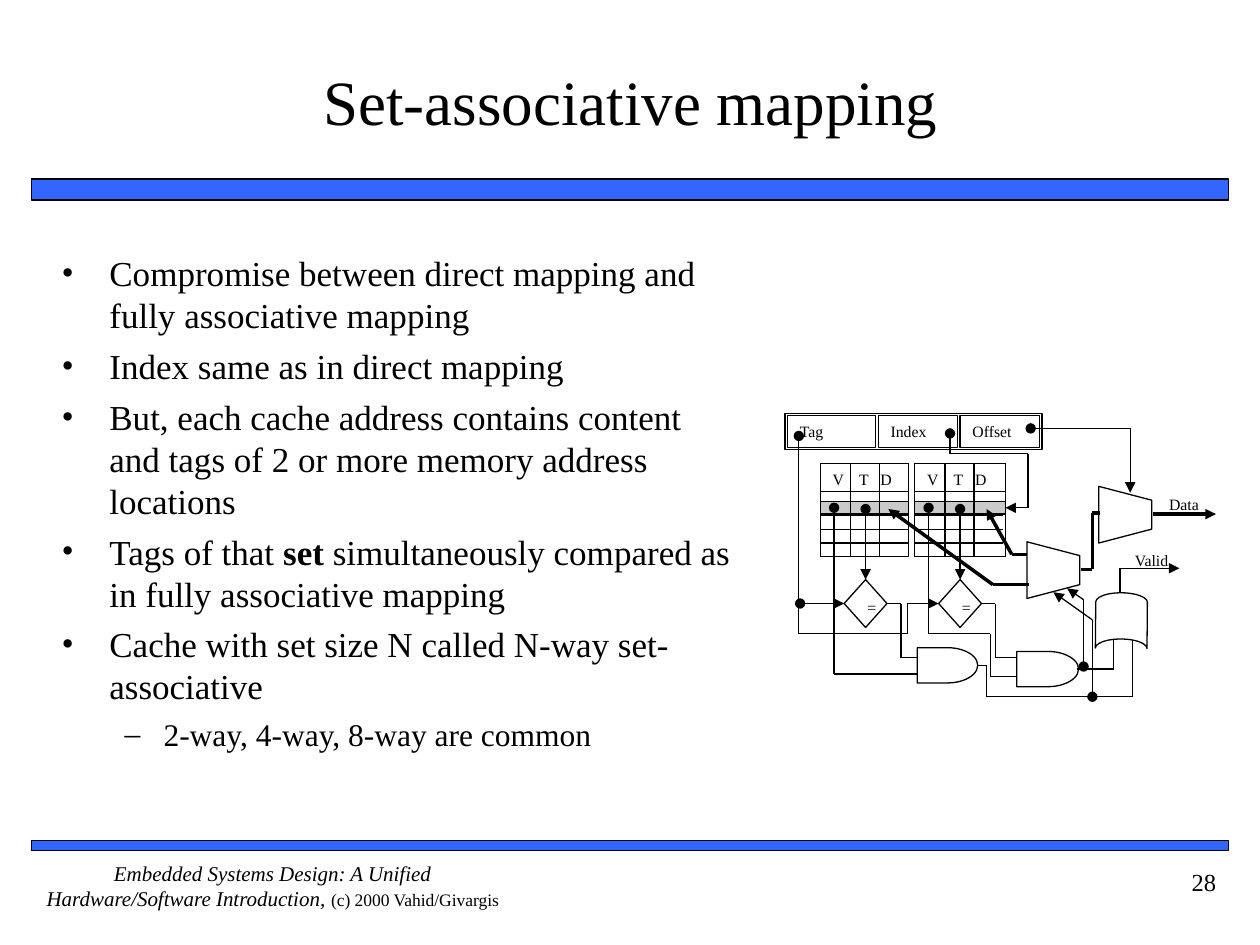
from lxml import etree
from pptx import Presentation
from pptx.dml.color import RGBColor
from pptx.enum.shapes import MSO_CONNECTOR, MSO_SHAPE
from pptx.enum.text import MSO_ANCHOR, PP_ALIGN
from pptx.oxml.ns import qn
from pptx.util import Pt

PX = 9144  # EMU per px, 100 px to the inch
RECT, DIAMOND = MSO_SHAPE.RECTANGLE, MSO_SHAPE.DIAMOND
AND, OR = MSO_SHAPE.FLOWCHART_DELAY, MSO_SHAPE.FLOWCHART_STORED_DATA
LINE = MSO_CONNECTOR.STRAIGHT
LEFT, MID, RIGHT = PP_ALIGN.LEFT, PP_ALIGN.CENTER, PP_ALIGN.RIGHT
TOP, MIDDLE = MSO_ANCHOR.TOP, MSO_ANCHOR.MIDDLE


class Theme:
    font = "Times New Roman"
    ink = RGBColor(0, 0, 0)
    paper = RGBColor(255, 255, 255)
    blue = RGBColor(0x33, 0x66, 0xFF)
    grey = RGBColor(0x96, 0x96, 0x96)
    title, body, sub, page, foot, copy, label = 36, 20, 18, 14, 12, 10, 9
    thin, bar, thick = 0.75, 1, 2


prs = Presentation()
prs.slide_width, prs.slide_height = 1000 * PX, 750 * PX
slide = prs.slides.add_slide(prs.slide_layouts[6])
shapes = slide.shapes


def box(at, *paras, kind=None, fill=None, edge=0, size=Theme.label,
        align=LEFT, anchor=TOP, pad=(10, 5, 0, 5)):
    """Add a shape, or a text box if no kind is given.

    A paragraph is a string or a list of (text, size, style) runs.
    """
    at = [n * PX for n in at]
    shape = shapes.add_shape(kind, *at) if kind else shapes.add_textbox(*at)
    if kind:
        shape.shadow.inherit = False
    if fill is not None:
        shape.fill.solid()
        shape.fill.fore_color.rgb = fill
    if edge:
        shape.line.color.rgb = Theme.ink
        shape.line.width = Pt(edge)
    else:
        shape.line.fill.background()
    frame = shape.text_frame
    frame.word_wrap = True
    frame.vertical_anchor = anchor
    (frame.margin_left, frame.margin_top,
     frame.margin_right, frame.margin_bottom) = [n * PX for n in pad]
    for i, runs in enumerate(paras):
        para = frame.add_paragraph() if i else frame.paragraphs[0]
        para.alignment = align
        for text, pts, style in [(runs, size, "")] if isinstance(runs, str) else runs:
            run = para.add_run()
            run.text = text
            run.font.name = Theme.font
            run.font.size = Pt(pts)
            run.font.color.rgb = Theme.ink
            run.font.bold = style == "b"
            run.font.italic = style == "i"
    return shape


def wire(*points, head=None, tail=None, width=Theme.thin, start=None, end=None):
    """Join points by straight lines; start and end are (shape, site) pairs."""
    last = len(points) - 2
    for i, (a, b) in enumerate(zip(points, points[1:])):
        seg = shapes.add_connector(LINE, *[n * PX for n in a + b])
        seg.line.color.rgb = Theme.ink
        seg.line.width = Pt(width)
        props = seg._element.spPr
        if i == 0 and start:
            seg.begin_connect(*start)
        if i == last and end:
            seg.end_connect(*end)
        if i == 0 and head:
            etree.SubElement(props.find(qn("a:ln")), qn("a:headEnd"), type=head)
        if i == last and tail:
            etree.SubElement(props.find(qn("a:ln")), qn("a:tailEnd"), type=tail)
        etree.SubElement(props, qn("a:effectLst"))


# Frame of the page
for y, h in ((142, 17), (667, 8)):
    box((25, y, 950, h), kind=RECT, fill=Theme.blue, edge=Theme.bar)
box((25, 683, 383, 50),
    [("Embedded Systems Design: A Unified Hardware/Software Introduction, ",
      Theme.foot, "i"), ("(c) 2000 Vahid/Givargis", Theme.copy, "")],
    align=MID, pad=(0, 0, 0, 0))
box((875, 683, 100, 50), "28", size=Theme.page, align=RIGHT, pad=(10, 5, 10, 5))
box((42, 17, 917, 125), "Set-associative mapping", size=Theme.title,
    align=MID, anchor=MIDDLE, pad=(0, 5, 0, 5))

# Bullets
body = box(
    (39, 195, 557, 450),
    "Compromise between direct mapping and fully associative mapping",
    "Index same as in direct mapping",
    "But, each cache address contains content and tags of 2 or more "
    "memory address locations",
    [("Tags of that ", Theme.body, ""), ("set", Theme.body, "b"),
     (" simultaneously compared as in fully associative mapping", Theme.body, "")],
    "Cache with set size N called N-way set-associative",
    [("2-way, 4-way, 8-way are common", Theme.sub, "")],
    size=Theme.body, pad=(10, 5, 10, 5))
items = body.text_frame.paragraphs
for i, para in enumerate(items):
    sub = i == len(items) - 1
    mark, left, hang, gap = ("–", 81, 31, 4.5) if sub else ("•", 38, 38, 5)
    para.level = int(sub)
    para.space_before = Pt(gap if i else 0)
    props = para._p.get_or_add_pPr()
    props.set("marL", str(left * PX))
    props.set("indent", str(-hang * PX))
    etree.SubElement(props, qn("a:buFont"), typeface=Theme.font)
    etree.SubElement(props, qn("a:buChar"), char=mark)

# Address fields
part = dict(kind=RECT, fill=Theme.paper, edge=Theme.thin)
box((623, 328, 204, 29), **part)
for x, w, name in ((625, 70, "Tag"), (697, 63, "Index"), (762, 63, "Offset")):
    box((x, 330, w, 25), name, **part)

# Two ways of the cache, each with its comparator
ways = ((651, 70), (726, 72))
bands, tests = [], []
for x, w in ways:
    box((x, 368, w, 74), **part)
    top = box((x, 368, w, 22), "V\tT\tD", **part)
    props = top.text_frame.paragraphs[0]._p.get_or_add_pPr()
    stops = etree.SubElement(props, qn("a:tabLst"))
    for pos in (21, 38):
        etree.SubElement(stops, qn("a:tab"), pos=str(pos * PX), algn="l")
    for y in range(398, 432, 11):
        wire((x, y), (x + 70, y))
    band = box((x, 398, w, 10), kind=RECT, fill=Theme.grey, edge=Theme.thin)
    tint = band._element.spPr.find(".//" + qn("a:srgbClr"))
    etree.SubElement(tint, qn("a:alpha"), val="50000")
    bands.append(band)
    for dx in (24, 47):
        wire((x + dx, 368), (x + dx, 442))
    tests.append(box((x + 19, 460, 34, 38), "=", kind=DIAMOND,
                     fill=Theme.paper, edge=Theme.thin))

# Outputs, gates and multiplexers
box((918, 388, 61, 29), "Data", kind=RECT, fill=Theme.paper)
box((891, 432, 70, 29), "Valid", kind=RECT, fill=Theme.paper)
gate = dict(fill=Theme.paper, edge=Theme.thin)
box((728, 514, 48, 28), kind=AND, **gate)
box((807, 517, 49, 28), kind=AND, **gate)
box((868, 472, 44, 41), kind=OR, **gate).rotation = 90.5
for x, y in ((872, 386), (815, 430)):
    pen = shapes.build_freeform(x, y, scale=PX)
    pen.add_line_segments([(x + 42, y + 11), (x + 42, y + 34), (x, y + 45)])
    mux = pen.convert_to_shape()
    mux.shadow.inherit = False
    mux.fill.solid()
    mux.fill.fore_color.rgb = Theme.paper
    mux.line.color.rgb = Theme.ink
    mux.line.width = Pt(Theme.thin)

# Wires that every way has
for (x, w), test, pin in zip(ways, tests, (728, 807)):
    wire((x + 36, 404), (x + 36, 460), head="oval", tail="triangle", end=(test, 0))
    wire((x + 53, 479), (x + 64, 479), (x + 64, 522), (pin, 522), start=(test, 3))

# Address wires
flow = dict(head="oval", tail="triangle")
wire((634, 346), (634, 503), (720, 503), (720, 479), (745, 479),
     end=(tests[1], 1), **flow)
wire((635, 479), (670, 479), end=(tests[0], 1), **flow)
wire((754, 344), (754, 360), (816, 360), (816, 403), (798, 403),
     end=(bands[1], 3), **flow)
wire((818, 340), (897, 340), (897, 391), **flow)

# Valid wires
wire((662, 403), (662, 535), (728, 535), head="oval")
wire((737, 403), (737, 503), (786, 503), (786, 537), (807, 537), head="oval")
wire((776, 528), (783, 528), (783, 553), (899, 553), (899, 508))
wire((855, 531), (884, 531), (884, 508))
wire((889, 471), (889, 451), (936, 451), tail="triangle")
wire((860, 529), (860, 476), (847, 467), **flow)
wire((867, 553), (867, 492), (836, 470), **flow)

# Data wires
wire((705, 404), (788, 464), (817, 464), head="triangle", width=Theme.thick)
wire((783, 404), (803, 440), (815, 440), head="triangle", width=Theme.thick)
wire((858, 452), (867, 452), (867, 407), (873, 407), width=Theme.thick)
wire((915, 408), (965, 408), tail="triangle", width=Theme.thick)

prs.save("out.pptx")
